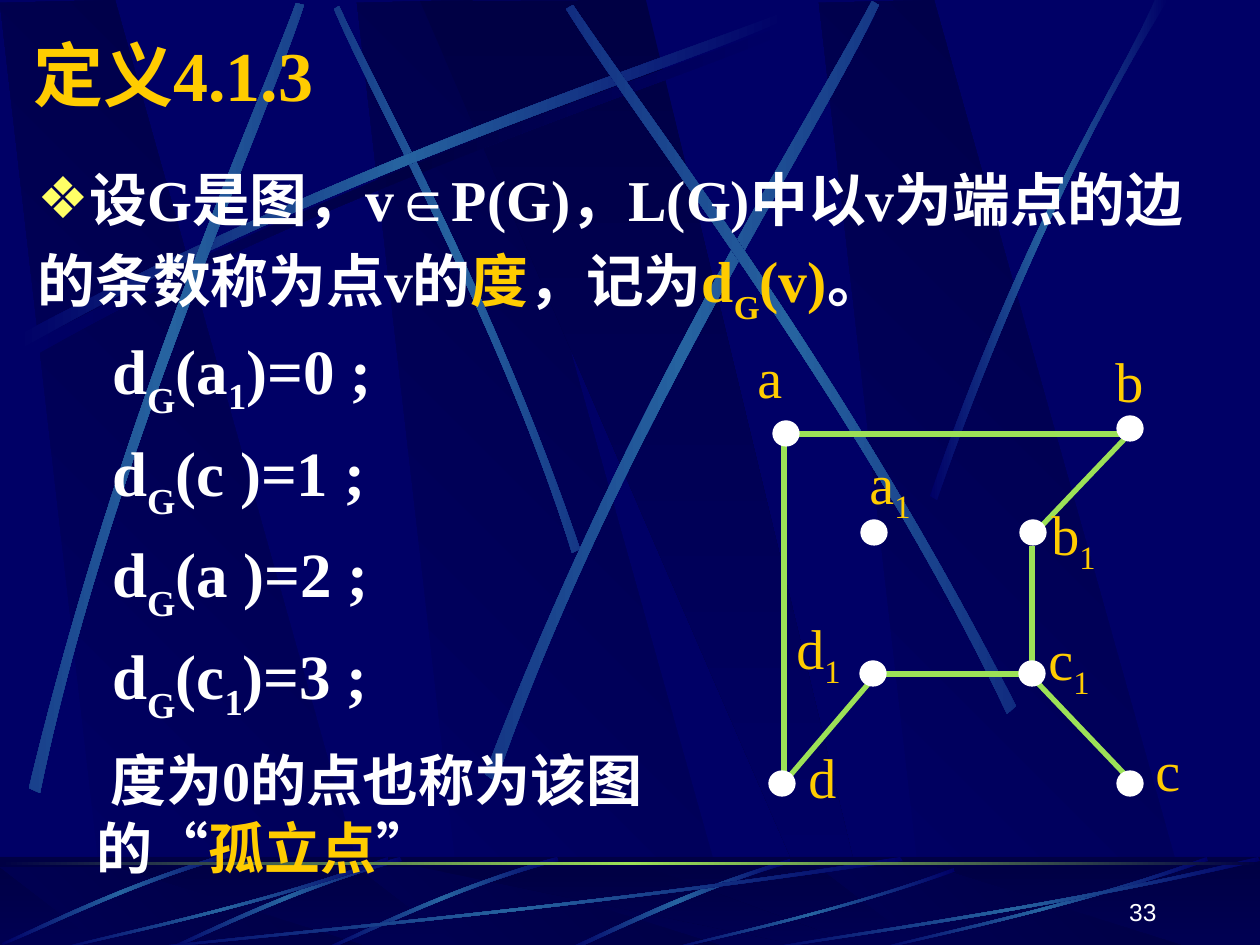
import math
import pptx
import pptx.util
import pptx.dml.color
import pptx.enum.shapes
import pptx.enum.text
import pptx.oxml
import pptx.oxml.ns
import lxml.etree

THEME = {
    "navy": "000066", "night": "000044", "steel": "2663A0", "lime": "9CE157",
    "white": "FFFFFF", "gold": "FFCC00", "lemon": "FFFF66",
    "serif": "Times New Roman", "sans": "Arial",
    "title": 40, "body": 33, "math": 36, "label": 32, "page": 14, "line": 3,
}
GOLD = {"color": "gold"}
LOW = {"base": -30}
SUB = {"base": -25}

TITLE = "定义4.1.3"
BODY = [("设G是图，v∈P(G)，L(G)中以v为端点的边的条数称为点v的", {}),
        ("度", GOLD), ("，记为", {}), ("d", GOLD), ("G", {**GOLD, **LOW}),
        ("(v)", GOLD), ("。", {"size": "label"})]
NOTES = [
    [(" d", {}), ("G", LOW), ("(a", {}), ("1", SUB), (")=0 ;", {})],
    [(" d", {}), ("G", LOW), ("(c )=1 ;", {})],
    [(" d", {}), ("G", LOW), ("(a )=2 ;", {})],
    [(" d", {}), ("G", LOW), ("(c", {}), ("1", SUB), (")=3 ;", {})],
    [(" ", {}), ("度为0的点也称为该图的“", {"size": "label"}),
     ("孤立点", {"size": "label", **GOLD}), ("”", {"size": "label"})],
]
PAGE = "33"

EDGES = [(881, 669, 782, 785), (1032, 546, 1032, 665), (886, 674, 1032, 674),
         (799, 434, 1120, 434), (784, 440, 784, 785), (1032, 536, 1135, 428),
         (1032, 677, 1135, 785)]
NODES = [("a1", (874, 533), (857, 442)), ("d1", (873, 674), (784, 607)),
         ("c1", (1032, 674), (1036, 618)), ("b1", (1033, 533), (1039, 493)),
         ("c", (1130, 784), (1143, 729)), ("b", (1130, 429), (1103, 340)),
         ("a", (786, 434), (745, 336)), ("d", (782, 784), (796, 736))]

BAND_X, WEDGE_X = (108, 381, 115, 0), (420, 829, 874, 646)
SHIFTS = (0, 357, 819)
WALL = ((945, 948, 0, 3), (1, 946, 946, 0))
FLOOR = ((950, 951, 867, 867), (867, 951, 951, 867))
ARC = [(25, 346), (358, 169), (660, 74), (789, 23),
       (793, 30), (665, 87), (320, 190), (29, 359)]
BEAMS = [
    (45, [(580, 549), (493, 295), (381, 97), (339, 6),
          (334, 9), (372, 100), (501, 325), (572, 553)]),
    (0, [(x - 8, y - 10) for x, y in ARC]),
    (311.7, [(29, 788), (117, 421), (248, 132), (296, 3),
             (304, 5), (261, 137), (108, 464), (40, 793)]),
    (321.6, [(485, 774), (627, 403), (804, 129), (872, 1),
             (879, 5), (818, 136), (612, 447), (496, 782)]),
    (34.7, [(1016, 706), (844, 369), (650, 120), (573, 5),
            (566, 9), (639, 127), (863, 410), (1007, 714)]),
    (0, [(930, 496), (1026, 218), (1119, 83), (1155, 0),
         (1168, 0), (1053, 183), (969, 406), (937, 500)]),
]
GLINT = [(790, 859), (677, 893), (601, 935), (564, 950),
         (571, 951), (617, 930), (719, 882), (791, 863)]
TICK = [(557, 857), (447, 888), (362, 932), (323, 949),
        (324, 951), (363, 936), (460, 886), (559, 861)]
TICKS = [(0, 0), (-157, 0), (-321, -6)]
SWEEP = [(903, 861), (566, 911), (260, 937), (130, 951),
         (126, 950), (255, 934), (605, 905), (900, 857)]
SWEEPS = [(126, 777, 857), (53, 336, 857), (664, 291, 868),
          (872, 336, 857), (756, 504, 857)]

UNIT = 914400 / 126


def px(*vals):
    return [round(v * UNIT) for v in vals]


def tint(name):
    return pptx.dml.color.RGBColor.from_string(THEME[name])


def say(par, text, size="label", color="white", face="serif", bold=False, base=0):
    run = par.add_run()
    run.text = text
    font = run.font
    font.size = pptx.util.Pt(THEME[size])
    font.name, font.bold = THEME[face], bold
    font.color.rgb = tint(color)
    if base:
        run._r.get_or_add_rPr().set("baseline", str(base * 1000))


def blend(shape, names, angle=0):
    shape.shadow.inherit = False
    shape.line.fill.background()
    shape.fill.background()
    last = len(names) - 1
    stops = "".join(
        f'<a:gs pos="{100000 * i // last}"><a:srgbClr val="{THEME[n]}"/></a:gs>'
        for i, n in enumerate(names))
    grad = pptx.oxml.parse_xml(
        f'<a:gradFill {pptx.oxml.ns.nsdecls("a")} rotWithShape="0"><a:gsLst>{stops}'
        f'</a:gsLst><a:lin ang="{angle * 60000}" scaled="0"/></a:gradFill>')
    props = shape._element.spPr
    props.replace(props.find(pptx.oxml.ns.qn("a:noFill")), grad)


def spin(point, turn):
    x, y = point
    cos, sin = math.cos(math.radians(turn)), math.sin(math.radians(turn))
    return x * cos - y * sin, x * sin + y * cos


def shard(shapes, points, names, angle=0, turn=0):
    spots = [px(*spin(p, -turn)) for p in points]
    form = shapes.build_freeform(*spots[0], scale=1.0)
    form.add_line_segments(spots[1:], close=True)
    shape = form.convert_to_shape()
    mid = shape.left + shape.width / 2, shape.top + shape.height / 2
    x, y = spin(mid, turn)
    shape.left, shape.top = round(x - shape.width / 2), round(y - shape.height / 2)
    shape.rotation = turn
    blend(shape, names, angle)
    return shape


def beam(shapes, ends, turn=0, core="steel"):
    shape = shard(shapes, ends, ("navy", core, "navy"), turn=turn)
    legs = list(shape._element.spPr.iter(pptx.oxml.ns.qn("a:lnTo")))
    for trio in (legs[:3], legs[4:7]):
        bend = lxml.etree.Element(pptx.oxml.ns.qn("a:cubicBezTo"))
        trio[0].addprevious(bend)
        for leg in trio:
            bend.append(leg[0])
            leg.getparent().remove(leg)


def panes(shapes, tops):
    band, wedge = tops
    for dx in SHIFTS:
        shard(shapes, [(x + dx, y) for x, y in zip(BAND_X, band)], ("navy", "night"), 315)
    shard(shapes, list(zip(WEDGE_X, wedge)), ("night", "navy"), 90)


def solid(shapes, kind, box, name):
    shape = shapes.add_shape(kind, *px(*box))
    shape.shadow.inherit = False
    shape.fill.solid()
    shape.fill.fore_color.rgb = tint(name)
    shape.line.fill.background()
    return shape


def scene(shapes):
    rect = pptx.enum.shapes.MSO_SHAPE.RECTANGLE
    floor = (0, 857, 1260, 94)
    panes(shapes, WALL)
    beam(shapes, ARC, core="night")
    for turn, ends in BEAMS:
        beam(shapes, ends, turn)
    blend(shapes.add_shape(rect, *px(*floor)), ("night", "navy"), 90)
    panes(shapes, FLOOR)
    veil = solid(shapes, rect, floor, "night")
    hue = veil._element.spPr.find(".//" + pptx.oxml.ns.qn("a:srgbClr"))
    lxml.etree.SubElement(hue, pptx.oxml.ns.qn("a:alpha"), val="50000")
    beam(shapes, GLINT)
    for dx, dy in TICKS:
        beam(shapes, [(x + dx, y + dy) for x, y in TICK], 315)
    for left, width, top in SWEEPS:
        beam(shapes, [(left + (x - 126) * width / 777,
                       951 - (951 - y) * (951 - top) / 94) for x, y in SWEEP])
    blend(shapes.add_shape(rect, *px(0, 862, 1260, 3)), ("night", "lime", "night"))


def place(shape, box, anchor="TOP", wrap=True):
    shape.left, shape.top, shape.width, shape.height = px(*box)
    frame = shape.text_frame
    frame.word_wrap = wrap
    frame.auto_size = pptx.enum.text.MSO_AUTO_SIZE.NONE
    frame.vertical_anchor = getattr(pptx.enum.text.MSO_ANCHOR, anchor)
    return frame


def label(shapes, box, **form):
    return place(shapes.add_textbox(*px(*box)), box, **form)


def graph(shapes):
    for edge in EDGES:
        line = shapes.add_connector(pptx.enum.shapes.MSO_CONNECTOR.STRAIGHT, *px(*edge))
        line.line.color.rgb = tint("lime")
        line.line.width = pptx.util.Pt(THEME["line"])
        lxml.etree.SubElement(line._element.spPr, pptx.oxml.ns.qn("a:effectLst"))
    for name, (x, y), spot in NODES:
        dot = solid(shapes, pptx.enum.shapes.MSO_SHAPE.OVAL, (x - 11, y - 11, 22, 21), "white")
        dot.line.color.rgb = tint("white")
        dot.line.width = pptx.util.Pt(THEME["line"])
        par = label(shapes, (*spot, 34 + 18 * len(name), 79), wrap=False).paragraphs[0]
        say(par, name[0], color="gold")
        if name[1:]:
            say(par, name[1:], color="gold", **SUB)


def main():
    deck = pptx.Presentation()
    deck.slide_width, deck.slide_height = px(1260, 945)
    slide = deck.slides.add_slide(deck.slide_layouts[1])
    shapes = slide.shapes
    slide.background.fill.solid()
    slide.background.fill.fore_color.rgb = tint("navy")
    title, body = slide.placeholders
    scene(shapes)

    shapes._spTree.append(body._element)
    par = place(body, (25, 148, 1207, 189)).paragraphs[0]
    props = par._p.get_or_add_pPr()
    props.set("marL", "0")
    props.set("indent", "0")
    par.line_spacing, par.space_before = 1.14, pptx.util.Pt(0)
    mark = lxml.etree.SubElement(props, pptx.oxml.ns.qn("a:buClr"))
    lxml.etree.SubElement(mark, pptx.oxml.ns.qn("a:srgbClr"), val=THEME["lemon"])
    lxml.etree.SubElement(props, pptx.oxml.ns.qn("a:buChar"), char="❖")
    for text, form in BODY:
        say(par, text, **{"size": "body", "bold": True, **form})

    graph(shapes)

    frame = label(shapes, (84, 325, 577, 536))
    for i, runs in enumerate(NOTES):
        par = frame.add_paragraph() if i else frame.paragraphs[0]
        par.space_before = pptx.util.Pt(7.2 if i else 0)
        for text, form in runs:
            say(par, text, **{"size": "math", "bold": True, **form})

    shapes._spTree.append(title._element)
    par = place(title, (21, 25, 1071, 97), anchor="MIDDLE").paragraphs[0]
    par.alignment = pptx.enum.text.PP_ALIGN.LEFT
    say(par, TITLE, size="title", color="gold", bold=True)

    par = label(shapes, (907, 870, 262, 63), anchor="BOTTOM").paragraphs[0]
    par.alignment = pptx.enum.text.PP_ALIGN.RIGHT
    say(par, PAGE, size="page", face="sans")
    deck.save("out.pptx")


if __name__ == "__main__":
    main()
